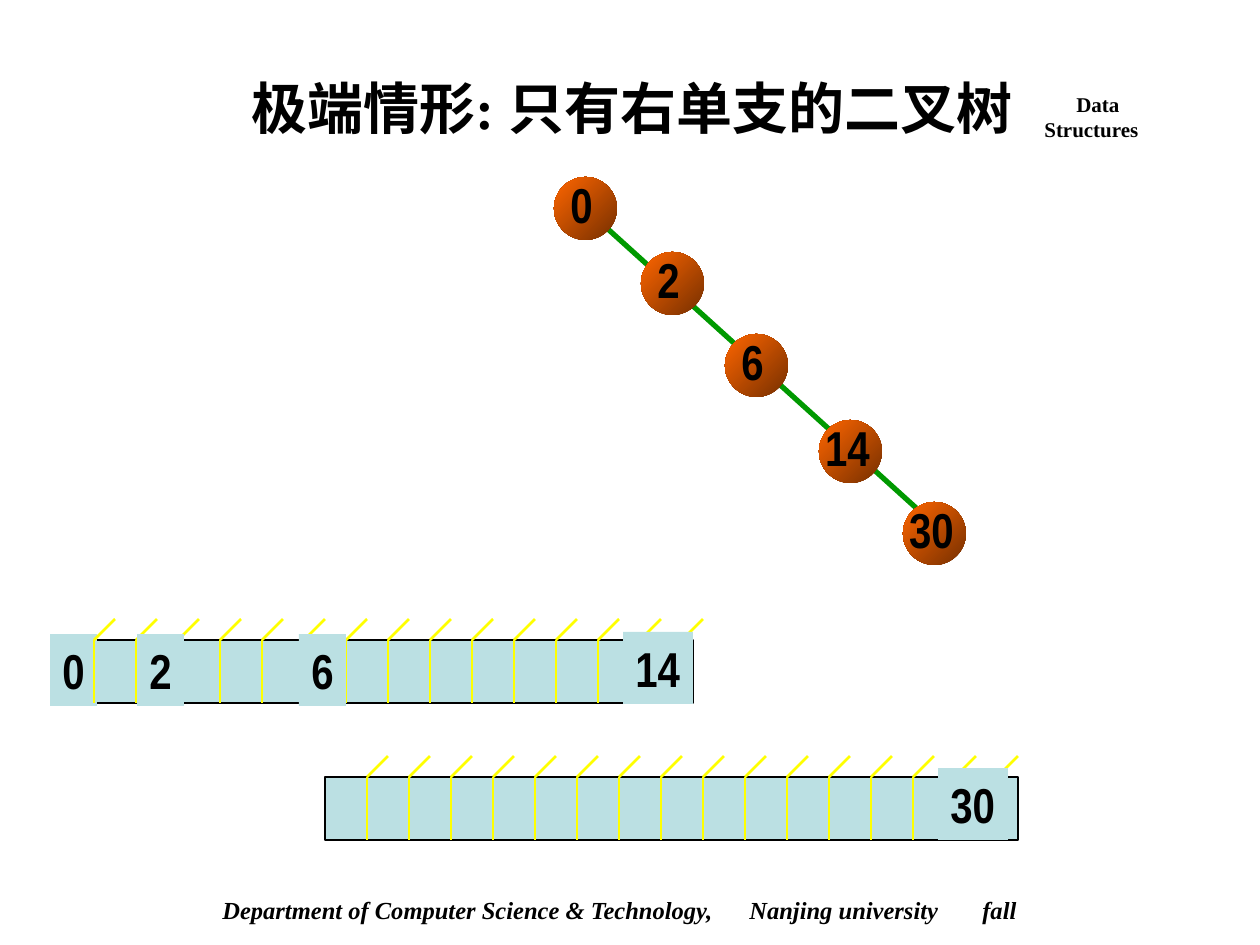
from pptx import Presentation
from pptx.dml.color import RGBColor
from pptx.enum.shapes import MSO_CONNECTOR as LINE, MSO_SHAPE as SHAPE
from pptx.enum.text import MSO_ANCHOR as ANCHOR, MSO_AUTO_SIZE as SIZE, PP_ALIGN as ALIGN
from pptx.util import Emu, Pt
from lxml.etree import SubElement
from pptx.oxml.ns import qn

HUES = {"ink": "000000", "cell": "BBE0E3", "tick": "FFFF00",
        "edge": "009900", "dark": "762F00", "light": "FF6600"}
HUE = {name: RGBColor.from_string(code) for name, code in HUES.items()}
SCALE = 914400 / 126


def write(shape, text, size=28, face="Arial Narrow", align=ALIGN.CENTER,
          anchor=ANCHOR.MIDDLE, wrap=False, italic=False):
    frame = shape.text_frame
    frame.text = text
    frame.word_wrap, frame.auto_size = wrap, SIZE.NONE
    frame.vertical_anchor = anchor
    for par in frame.paragraphs:
        par.alignment = align
        for run in par.runs:
            font = run.font
            font.size, font.name = Pt(size), face
            font.bold, font.italic = True, italic
            font.color.rgb = HUE["ink"]
    return frame.paragraphs


def px(*nums):
    return [Emu(round(n * SCALE)) for n in nums]


deck = Presentation()
deck.slide_width, deck.slide_height = px(1260, 945)
slide = deck.slides.add_slide(deck.slide_layouts[5])
shapes = slide.shapes
roman = "Times New Roman"

# Title
title = shapes.title
title.left, title.top, title.width, title.height = px(225, 67, 814, 81)
write(title, "极端情形: 只有右单支的二叉树", size=32, face=roman)

# Course name, first line indented
course = shapes.add_textbox(*px(1032, 85, 174, 63))
pars = write(course, "Data\nStructures", size=12, face=roman,
             align=ALIGN.LEFT, anchor=ANCHOR.TOP, wrap=True)
pars[0]._p.get_or_add_pPr().set("indent", str(px(32)[0]))

# Footer, spaced with tab stops
foot = shapes.add_textbox(*px(210, 889, 944, 43))
pars = write(foot, "Department of Computer Science & Technology,\tNanjing university\tfall",
             size=14, face=roman, align=ALIGN.LEFT, anchor=ANCHOR.TOP,
             wrap=True, italic=True)
tabs = SubElement(pars[0]._p.get_or_add_pPr(), qn("a:tabLst"))
for stop in px(527, 760):
    SubElement(tabs, qn("a:tab"), pos=str(stop), algn="l")

# Tree edge, the first of the lines to draw
lines = [("edge", 3, (599, 221, 935, 525))]

# Array strips: left, top, width, ticks, labelled cells
strips = [
    (52, 640, 641, 15, [("0", 50, 634, 47), ("2", 137, 634, 47),
                        ("6", 299, 634, 47), ("14", 623, 632, 70)]),
    (325, 777, 693, 16, [("30", 938, 768, 70)]),
]
boxes = []
for left, top, width, count, cells in strips:
    boxes += [("", left, top, width, 63)]
    boxes += [(text, x, y, wide, 72) for text, x, y, wide in cells]
    for i in range(1, count + 1):
        x = left + 42 * i
        # No divider runs through a labelled cell
        if not any(a < x < a + wide - 4 for text, a, y, wide in cells):
            lines.append(("tick", 1.5, (x, top, x, top + 63)))
        lines.append(("tick", 1.5, (x, top, x + 21, top - 21)))

# Strips first, then lines, then the cells that cover the ticks
low = [box for box in boxes if box[0] in ("", "0")]
high = [box for box in boxes if box not in low]
for layer in (low, high):
    for text, x, y, wide, tall in layer:
        box = shapes.add_shape(SHAPE.RECTANGLE, *px(x, y, wide, tall))
        box.shadow.inherit = False
        box.fill.solid()
        box.fill.fore_color.rgb = HUE["cell"]
        if text:
            box.line.fill.background()
            write(box, text, align=ALIGN.LEFT)
        else:
            box.line.color.rgb, box.line.width = HUE["ink"], Pt(0.75)
    if layer is low:
        for hue, size, ends in lines:
            item = shapes.add_connector(LINE.STRAIGHT, *px(*ends))
            item.line.color.rgb, item.line.width = HUE[hue], Pt(size)
            SubElement(item._element.spPr, qn("a:effectLst"))

# Tree nodes
for text, x, y in [("0", 554, 177), ("2", 641, 252), ("6", 725, 334),
                   ("14", 819, 420), ("30", 903, 502)]:
    node = shapes.add_shape(SHAPE.OVAL, *px(x, y, 63, 63))
    node.shadow.inherit = False
    node.line.fill.background()
    node.fill.gradient()
    node.fill.gradient_angle = 135
    for stop, hue in zip(node.fill.gradient_stops, ("dark", "light")):
        stop.color.rgb, stop.position = HUE[hue], float(hue == "light")
    shift, wide = (4, 47) if len(text) == 1 else (-6, 69)
    write(shapes.add_textbox(*px(x + shift, y - 9, wide, 72)), text)

deck.save("out.pptx")
